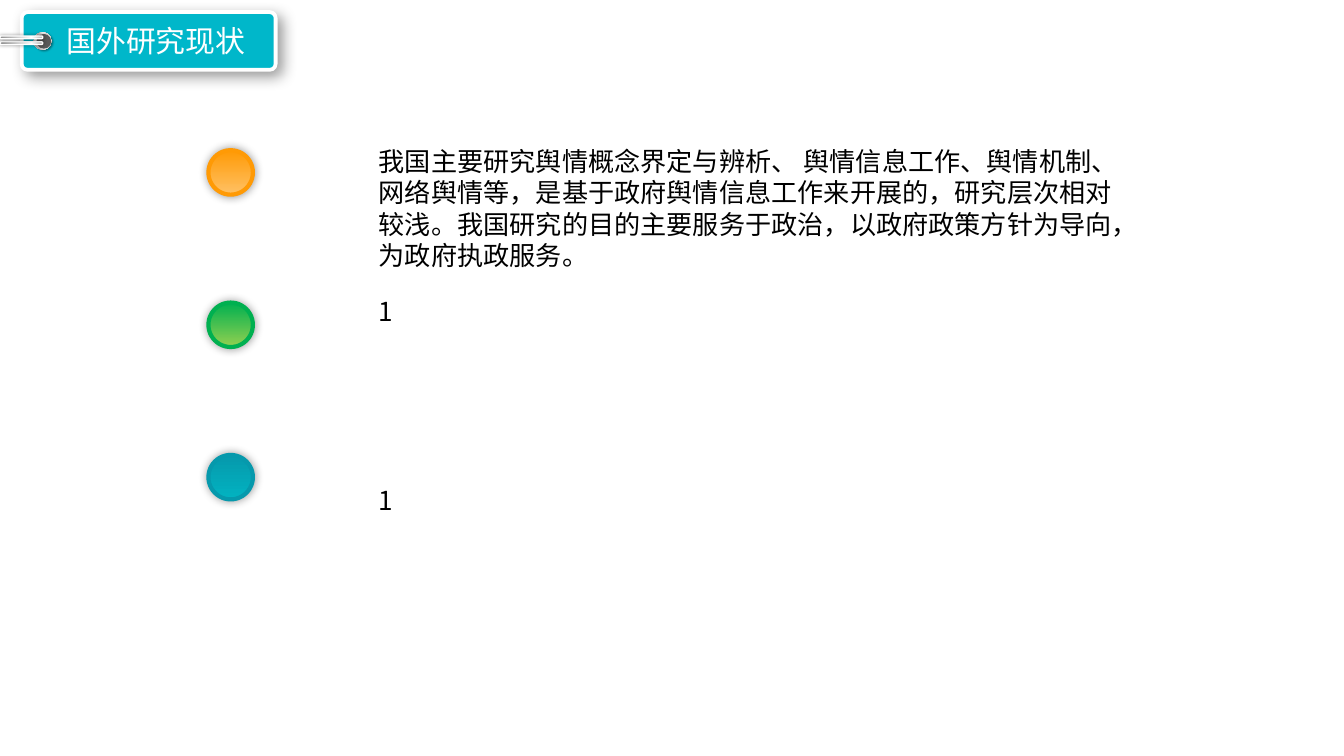
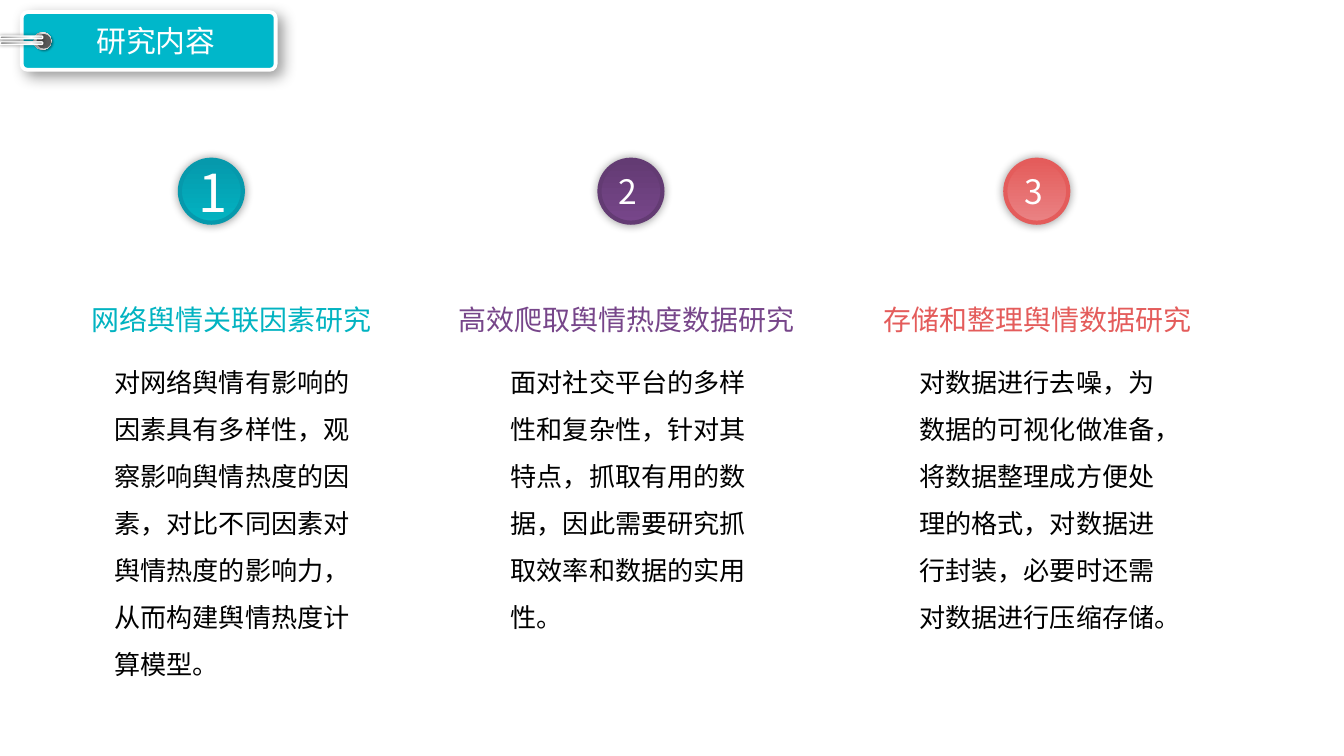
from copy import deepcopy

from lxml import etree
from pptx import Presentation
from pptx import util as u
from pptx.dml.color import RGBColor
from pptx.enum import shapes, text
from pptx.oxml import ns

WHITE = RGBColor(0xFF, 0xFF, 0xFF)
BLACK = RGBColor(0x00, 0x00, 0x00)
CYAN = RGBColor(0x00, 0xB7, 0xCA)
DARK_GREY = RGBColor(0x59, 0x59, 0x59)
GREY = RGBColor(0x80, 0x80, 0x80)
MID_GREY = RGBColor(0xA6, 0xA6, 0xA6)
SILVER = RGBColor(0xD9, 0xD9, 0xD9)
PALE_GREY = RGBColor(0xF2, 0xF2, 0xF2)
ORANGE = RGBColor(0xFF, 0x9A, 0x05)
LIGHT_ORANGE = RGBColor(0xFF, 0xC1, 0x65)
GREEN = RGBColor(0x00, 0xB0, 0x50)
LIGHT_GREEN = RGBColor(0x92, 0xD0, 0x50)
TEAL = RGBColor(0x06, 0x99, 0xAC)
LIGHT_TEAL = RGBColor(0x02, 0xB3, 0xC1)
PURPLE = RGBColor(0x63, 0x3B, 0x73)
LIGHT_PURPLE = RGBColor(0x77, 0x46, 0x8A)
RED = RGBColor(0xE4, 0x5C, 0x5B)
LIGHT_RED = RGBColor(0xEA, 0x83, 0x84)

SANS, BODY = "Noto Sans CJK SC", "Noto Sans CJK TC"
ROUND, OVAL = shapes.MSO_SHAPE.ROUNDED_RECTANGLE, shapes.MSO_SHAPE.OVAL

# Gradients: (position in percent, colour)
RING = [(0, WHITE), (17, MID_GREY), (35, PALE_GREY),
        (55, MID_GREY), (75, PALE_GREY), (100, MID_GREY)]
ROD = [(0, GREY), (23, MID_GREY), (52, SILVER), (74, WHITE), (100, MID_GREY)]
GLOW = (5, 0, 0)


def add_shape(parent, kind, box, fill, angle=90, line=None, shadow=None):
    """fill and line: a colour or gradient stops; shadow: blur, distance, angle."""
    sp = parent.add_shape(kind, *[u.Cm(v) for v in box])
    pr = sp._element.spPr
    sp.shadow.inherit = False
    if isinstance(fill, list):
        grad = etree.Element(ns.qn("a:gradFill"))
        stops = etree.SubElement(grad, ns.qn("a:gsLst"))
        for pos, color in fill:
            gs = etree.SubElement(stops, ns.qn("a:gs"), pos=str(pos * 1000))
            etree.SubElement(gs, ns.qn("a:srgbClr"), val=str(color))
        etree.SubElement(grad, ns.qn("a:lin"), ang=str(angle * 60000), scaled="0")
        pr.find(ns.qn("a:prstGeom")).addnext(grad)
    else:
        sp.fill.solid()
        sp.fill.fore_color.rgb = fill
    if line is None:
        sp.line.fill.background()
    else:
        color, width = line
        sp.line.width = u.Pt(width)
        if isinstance(color, list):
            pr.find(ns.qn("a:ln")).insert(0, deepcopy(grad))
        else:
            sp.line.color.rgb = color
    if shadow:
        blur, dist, turn = shadow
        outer = etree.SubElement(
            pr.find(ns.qn("a:effectLst")), ns.qn("a:outerShdw"),
            blurRad=str(u.Pt(blur)), dist=str(u.Pt(dist)), dir=str(turn * 60000),
            algn="ctr", rotWithShape="0")
        black = etree.SubElement(outer, ns.qn("a:srgbClr"), val=str(BLACK))
        etree.SubElement(black, ns.qn("a:alpha"), val="40000")
    return sp


def write(sp, words, size, font, color, align=text.PP_ALIGN.LEFT,
          wrap=True, grow=True, insets=None):
    tf = sp.text_frame
    tf.word_wrap = wrap
    if grow:
        tf.auto_size = text.MSO_AUTO_SIZE.SHAPE_TO_FIT_TEXT
    if insets:
        tf.margin_left = tf.margin_right = u.Cm(insets[0])
        tf.margin_top = tf.margin_bottom = u.Cm(insets[1])
    p = tf.paragraphs[0]
    p.add_run().text = words
    p.alignment = align
    p.font.size = u.Pt(size)
    p.font.color.rgb = color
    p.font.name = font
    latin = p._p.pPr.find(ns.qn("a:defRPr")).find(ns.qn("a:latin"))
    latin.addnext(etree.Element(ns.qn("a:ea"), typeface=font))
    return p


prs = Presentation()
prs.slide_width, prs.slide_height = u.Cm(25.4), u.Cm(14.29)

# Both slides: pinned title tag
slides = []
for title in ("国外研究现状", "研究内容"):
    s = prs.slides.add_slide(prs.slide_layouts[6])
    slides.append(s)
    tag = add_shape(s.shapes, ROUND, (0.41, 0.23, 4.8, 1.09), CYAN,
                    line=(WHITE, 2), shadow=(8, 4, 45))
    tag.adjustments[0] = 0.1

    eyelet = s.shapes.add_group_shape().shapes
    ring = add_shape(eyelet, OVAL, (0.64, 0.61, 0.33, 0.33), RING, 45, shadow=(1, 1, 45))
    hole = add_shape(eyelet, OVAL, (0.69, 0.64, 0.28, 0.28), DARK_GREY)
    ring.rotation = hole.rotation = 270

    rods = s.shapes.add_group_shape().shapes
    for top in (0.41, 0.3):
        rod = add_shape(rods, ROUND, (0.38, top, 0.05, 0.81), ROD,
                        line=(WHITE, 0.75), shadow=(2, 0, 0))
        rod.adjustments[0] = 0.5
        rod.rotation = 270

    sp = s.shapes.add_textbox(u.Cm(0.69), u.Cm(0.3), u.Cm(4.52), u.Cm(0.94))
    write(sp, title, 16, SANS, WHITE, text.PP_ALIGN.CENTER)

status, content = slides

# Slide 1: dots with statements
points = [
    (ORANGE, LIGHT_ORANGE, 2.62, 14.81, 2.64,
     "我国主要研究舆情概念界定与辨析、 舆情信息工作、舆情机制、网络舆情等，"
     "是基于政府舆情信息工作来开展的，研究层次相对较浅。"
     "我国研究的目的主要服务于政治，以政府政策方针为导向，为政府执政服务。"),
    (GREEN, LIGHT_GREEN, 5.46, 15.34, 0.86, "1"),
    (TEAL, LIGHT_TEAL, 9.04, 14.81, 0.86, "1"),
]
for i, (dark, light, top, width, height, words) in enumerate(points):
    stops = [(0, dark), (100, light)]
    add_shape(status.shapes, OVAL, (3.94, 2.84 + 2.88 * i, 0.84, 0.84), stops,
              line=(stops, 2.25), shadow=GLOW)
    sp = status.shapes.add_textbox(u.Cm(6.91), u.Cm(top), u.Cm(width), u.Cm(height))
    write(sp, words, 14, BODY, BLACK)

# Slide 2: three numbered topics; each box is (left, width)
topics = [
    (TEAL, LIGHT_TEAL, LIGHT_TEAL, 3.4, 28, (1.45, 5.87), (2.16, 4.47),
     "网络舆情关联因素研究",
     "对网络舆情有影响的因素具有多样性，观察影响舆情热度的因素，"
     "对比不同因素对舆情热度的影响力，从而构建舆情热度计算模型。"),
    (PURPLE, LIGHT_PURPLE, LIGHT_PURPLE, 11.33, 18, (8.38, 6.93), (9.65, 4.55),
     "高效爬取舆情热度数据研究",
     "面对社交平台的多样性和复杂性，针对其特点，抓取有用的数据，"
     "因此需要研究抓取效率和数据的实用性。"),
    (RED, LIGHT_RED, RED, 19, 18, (16.41, 6.4), (17.37, 4.52),
     "存储和整理舆情数据研究",
     "对数据进行去噪，为数据的可视化做准备，将数据整理成方便处理的格式，"
     "对数据进行封装，必要时还需对数据进行压缩存储。"),
]
for n, topic in enumerate(topics, 1):
    dark, light, color, left, size, head_box, body_box, head, body = topic
    stops = [(0, dark), (100, light)]
    sp = add_shape(content.shapes, OVAL, (left, 3.02, 1.19, 1.19), stops,
                   line=(stops, 2.25), shadow=GLOW)
    write(sp, str(n), size, SANS, WHITE, grow=False, insets=(0.18, 0.1))

    group = content.shapes.add_group_shape().shapes
    sp = group.add_textbox(u.Cm(head_box[0]), u.Cm(5.59), u.Cm(head_box[1]), u.Cm(0.89))
    write(sp, head, 15, SANS, color, text.PP_ALIGN.CENTER, wrap=False)
    sp = group.add_textbox(u.Cm(body_box[0]), u.Cm(6.63), u.Cm(body_box[1]), u.Cm(2.74))
    p = write(sp, body, 14, BODY, BLACK, grow=False, insets=(0, 0))
    p.line_spacing = 1.5

prs.save("out.pptx")
